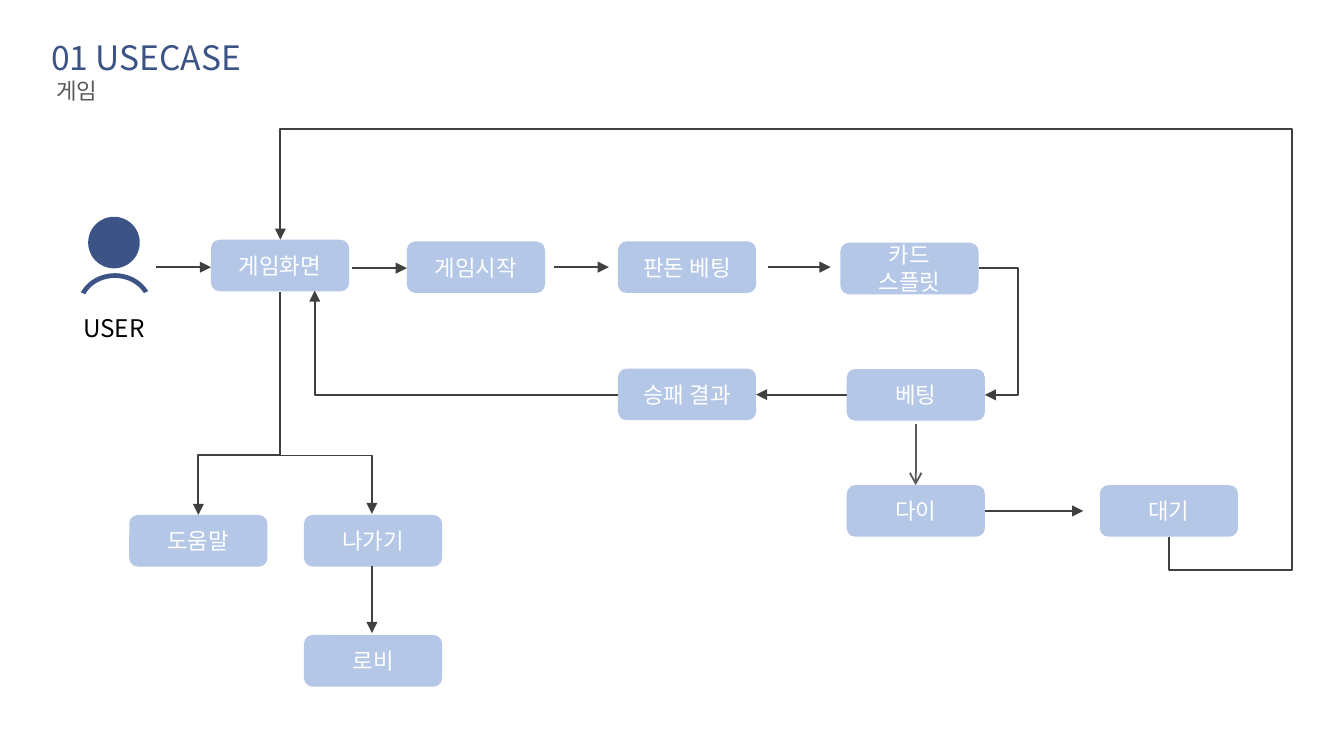
from lxml import etree
from pptx import Presentation
from pptx import util as u
from pptx.dml.color import RGBColor
from pptx.enum import shapes, text
from pptx.oxml.ns import qn

COLORS = {"navy": "3B5385", "box": "B4C7E7", "line": "404040",
          "gray": "595959", "white": "FFFFFF", "black": "000000"}
FONT = "Noto Sans CJK KR"

presentation = Presentation()
presentation.slide_width = u.Inches(10)
presentation.slide_height = presentation.slide_width * 9 // 16
slide = presentation.slides.add_slide(presentation.slide_layouts[5])
cell = presentation.slide_width / 100


def grid(*values):
    return [u.Emu(round(value * cell)) for value in values]


def format_paragraph(paragraph, size, color, alignment):
    paragraph.alignment = alignment
    font = paragraph.font
    font.size = u.Pt(size)
    font.name = FONT
    font.color.rgb = RGBColor.from_string(COLORS[color])
    etree.SubElement(font._element, qn("a:ea"), typeface=FONT)


title = slide.shapes.title
title.left, title.top, title.width, title.height = grid(3.1, 2.35, 23.4, 5.8)
frame = title.text_frame
frame.text = "01 USECASE\n 게임"
frame.word_wrap = True
frame.auto_size = text.MSO_AUTO_SIZE.SHAPE_TO_FIT_TEXT
frame.vertical_anchor = text.MSO_ANCHOR.TOP
frame.margin_left, frame.margin_right, frame.margin_top, frame.margin_bottom = grid(0.7, 0.7, 0.4, 0.4)
for paragraph, size, color in zip(frame.paragraphs, (18, 12), ("navy", "gray")):
    format_paragraph(paragraph, size, color, text.PP_ALIGN.LEFT)

box_width, box_height = 10.28, 3.84
boxes = [
    ("게임시작", 30.27, 17.96), ("판돈 베팅", 45.98, 17.96),
    ("게임화면", 15.7, 17.84), ("카드\n스플릿", 62.53, 18.06),
    ("승패 결과", 45.98, 27.43), ("베팅", 63, 27.46),
    ("다이", 63, 36.1), ("대기", 81.83, 36.1), ("나가기", 22.62, 38.32),
    ("로비", 22.62, 47.25), ("도움말", 9.62, 38.32),
]
for label, left, top in boxes:
    box = slide.shapes.add_shape(shapes.MSO_SHAPE.ROUNDED_RECTANGLE, *grid(left, top, box_width, box_height))
    box.shadow.inherit = False
    box.fill.solid()
    box.fill.fore_color.rgb = RGBColor.from_string(COLORS["box"])
    box.line.fill.background()
    box.text_frame.text = label
    box.text_frame.vertical_anchor = text.MSO_ANCHOR.MIDDLE
    for paragraph in box.text_frame.paragraphs:
        format_paragraph(paragraph, 12, "white", text.PP_ALIGN.CENTER)

user_parts = [
    (shapes.MSO_SHAPE.OVAL, (6.56, 16.13, 3.84, 3.84), ()),
    (shapes.MSO_SHAPE.BLOCK_ARC, (5.75, 20.33, 5.6, 5), (121.82, 200.89, 0.07)),
]
for preset, area, adjustments in user_parts:
    part = slide.shapes.add_shape(preset, *grid(*area))
    part.shadow.inherit = False
    part.fill.solid()
    part.fill.fore_color.rgb = RGBColor.from_string(COLORS["navy"])
    part.line.fill.background()
    for index, value in enumerate(adjustments):
        part.adjustments[index] = value

user_label = slide.shapes.add_textbox(*grid(4.43, 22.8, 8.1, 3.2))
user_label.text_frame.word_wrap = True
user_label.text_frame.auto_size = text.MSO_AUTO_SIZE.SHAPE_TO_FIT_TEXT
user_label.text_frame.text = "USER"
format_paragraph(user_label.text_frame.paragraphs[0], 13, "black", text.PP_ALIGN.CENTER)

straight = [
    (11.6, 19.88, 15.7, 19.88), (26.2, 19.95, 30.27, 19.95), (41.2, 19.88, 45.3, 19.88),
    (57.15, 19.88, 61.8, 19.88), (63, 29.37, 56.26, 29.37), (73.28, 38.02, 80.6, 38.02),
    (27.68, 42.15, 27.68, 47.1), (68.13, 31.54, 68.13, 36.1),
]
elbows = [
    ((72.81, 19.95, 73.28, 29.38), 0, "bentConnector3", (628,)),
    ((23.42, 21.62, 45.98, 29.38), 180, "bentConnector2", ()),
    ((64.98, -4.18, 42.88, 61.94), 90, "bentConnector5", (-11.3, -13.8, 137.4)),
    ((14.76, 38.32, 20.84, 33.84), 180, "bentConnector2", ()),
    ((32.5, 26.57, 16, 33.4), 270, "bentConnector3", (73.7,)),
]

arrows = [(ends, 0, "line", ()) for ends in straight] + elbows
for ends, rotation, preset, adjustments in arrows:
    connector = slide.shapes.add_connector(shapes.MSO_CONNECTOR.STRAIGHT, *grid(*ends))
    properties = connector._element.spPr
    if rotation:
        properties.find(qn("a:xfrm")).set("rot", str(rotation * 60000))
    geometry = properties.find(qn("a:prstGeom"))
    geometry.set("prst", preset)
    guides = geometry.find(qn("a:avLst"))
    for index, percent in enumerate(adjustments, 1):
        name = "adj1" if len(adjustments) == 1 else f"adj{index}"
        etree.SubElement(guides, qn("a:gd"), name=name, fmla=f"val {round(percent * 1000)}")
    is_open = ends == straight[-1]
    connector.line.width = u.Pt(1)
    connector.line.color.rgb = RGBColor.from_string(COLORS["gray" if is_open else "line"])
    line = properties.find(qn("a:ln"))
    etree.SubElement(line, qn("a:tailEnd"), type="arrow" if is_open else "triangle")
    etree.SubElement(properties, qn("a:effectLst"))

presentation.save("out.pptx")
